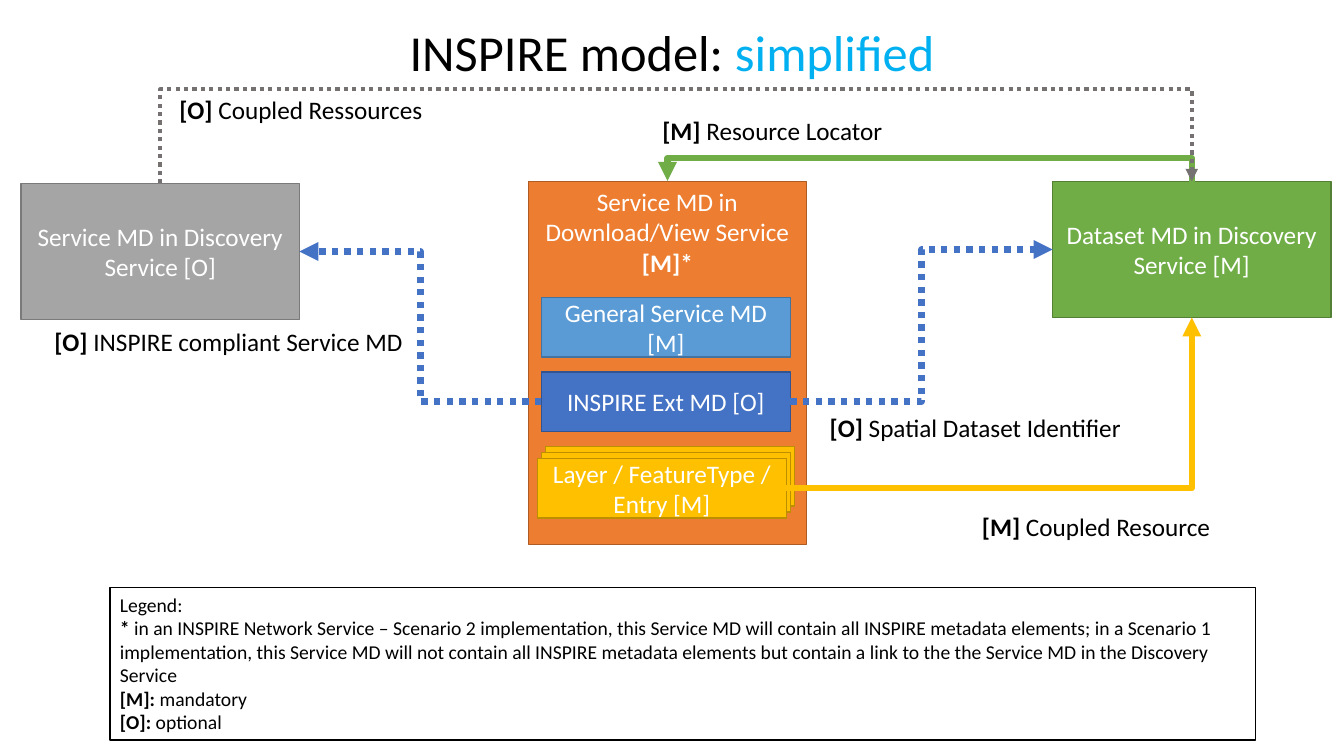
from dataclasses import dataclass

from lxml.etree import SubElement
from pptx import Presentation
from pptx.dml.color import RGBColor
from pptx.enum.dml import MSO_LINE as Dash
from pptx.enum.shapes import MSO_CONNECTOR as Link, MSO_SHAPE as Shape
from pptx.enum.text import MSO_ANCHOR as Anchor, MSO_AUTO_SIZE as Fit, PP_ALIGN as Align
from pptx.oxml.ns import qn
from pptx.util import Pt

PX = 9144  # 100 px to the inch
TOP, LEFT, BOTTOM, RIGHT = range(4)


@dataclass(frozen=True)
class Theme:
    font: str = "Calibri"
    title: int = 36
    body: int = 18
    legend: int = 14
    black: str = "000000"
    white: str = "FFFFFF"
    accent: str = "00B0F0"
    grey: tuple = ("A5A5A5", "7A7A7A")
    orange: tuple = ("ED7D31", "AF5C24")
    green: tuple = ("70AD47", "538035")
    sky: tuple = ("5B9BD5", "43739E")
    blue: tuple = ("4472C4", "325491")
    gold: tuple = ("FFC000", "BD8E00")
    paper: tuple = ("FFFFFF", "000000")
    dark_grey: str = "767171"


THEME = Theme()


def rgb(value):
    return RGBColor.from_string(value)


def px(*lengths):
    return [length * PX for length in lengths]


def write(frame, lines, size, colour, align=Align.LEFT):
    """Fill a frame with paragraphs; text between bars is bold."""
    for number, line in enumerate(lines):
        paragraph = frame.add_paragraph() if number else frame.paragraphs[0]
        paragraph.alignment = align
        paragraph.font.name = THEME.font
        paragraph.font.size = Pt(size)
        paragraph.font.color.rgb = rgb(colour)
        for part, text in enumerate(line.split("|")):
            if text:
                run = paragraph.add_run()
                run.text = text
                if part % 2:
                    run.font.bold = True


def add_box(shapes, area, colours, text="", anchor=Anchor.MIDDLE):
    box = shapes.add_shape(Shape.RECTANGLE, *px(*area))
    box.shadow.inherit = False
    fill, edge = colours
    box.fill.solid()
    box.fill.fore_color.rgb = rgb(fill)
    box.line.color.rgb = rgb(edge)
    box.line.width = Pt(1)
    box.text_frame.word_wrap = True
    box.text_frame.vertical_anchor = anchor
    if text:
        write(box.text_frame, [text], THEME.body, THEME.white, Align.CENTER)
    return box


def add_label(slide, area, text):
    frame = slide.shapes.add_textbox(*px(*area)).text_frame
    frame.word_wrap = False
    frame.auto_size = Fit.SHAPE_TO_FIT_TEXT
    write(frame, [text], THEME.body, THEME.black)


def add_elbow(slide, source, target, colour, width=4.5, dash=None):
    """Join two (box, side) ends with an elbow arrow."""
    arrow = slide.shapes.add_connector(Link.ELBOW, 0, 0, 0, 0)
    arrow.begin_connect(*source)
    arrow.end_connect(*target)
    arrow.line.color.rgb = rgb(colour)
    arrow.line.width = Pt(width)
    if dash:
        arrow.line.dash_style = dash
    properties = arrow.element.spPr
    SubElement(properties.find(qn("a:ln")), qn("a:tailEnd"), type="triangle")
    SubElement(properties, qn("a:effectLst"))
    return arrow


def route_over(arrow, rise):
    """Lead an arrow up from its start, across, and down to its end."""
    start_x, start_y, end_x, end_y = arrow.begin_x, arrow.begin_y, arrow.end_x, arrow.end_y
    drop, span = max(PX, start_y - end_y), abs(end_x - start_x)
    # A quarter turn swaps the box's width and height about its centre
    arrow.width, arrow.height = drop, span
    arrow.left = (start_x + end_x - drop) // 2
    arrow.top = (start_y + end_y - span) // 2
    frame = arrow.element.spPr.find(qn("a:xfrm"))
    frame.set("rot", "16200000")
    frame.set("flipH", "0")
    frame.set("flipV", "1" if end_x < start_x else "0")
    guides = arrow.element.spPr.find(qn("a:prstGeom")).find(qn("a:avLst"))
    SubElement(guides, qn("a:gd"), name="adj1", fmla=f"val {rise * PX * 100000 // drop}")


def add_title(slide):
    title = slide.shapes.title
    title.left, title.top, title.width, title.height = px(383, 15, 567, 71)
    frame = title.text_frame
    frame.word_wrap = False
    frame.vertical_anchor = Anchor.MIDDLE
    write(frame, ["INSPIRE model: "], THEME.title, THEME.black, Align.CENTER)
    simplified = frame.paragraphs[0].add_run()
    simplified.text = "simplified"
    simplified.font.color.rgb = rgb(THEME.accent)


def add_legend(slide):
    legend = add_box(slide.shapes, (109, 583, 1136, 151), THEME.paper, anchor=Anchor.TOP)
    write(legend.text_frame, [
        "Legend:",
        "|* |in an INSPIRE Network Service – Scenario 2 implementation, this Service MD will "
        "contain all INSPIRE metadata elements; in a Scenario 1 implementation, this Service MD "
        "will not contain all INSPIRE metadata elements but contain a link to the the Service MD "
        "in the Discovery Service",
        "|[M]: |mandatory",
        "|[O]:| optional",
    ], THEME.legend, THEME.black)


def main():
    deck = Presentation()
    deck.slide_width, deck.slide_height = px(1333, 750)
    slide = deck.slides.add_slide(deck.slide_layouts[5])
    shapes = slide.shapes
    add_title(slide)

    # Metadata records
    discovery = add_box(shapes, (21, 182, 276, 135), THEME.grey,
                        "Service MD in Discovery Service [O]")
    download = add_box(shapes, (524, 180, 276, 360), THEME.orange,
                       "Service MD in Download/View Service |[M]*|", Anchor.TOP)
    dataset = add_box(shapes, (1044, 180, 276, 135), THEME.green,
                      "Dataset MD in Discovery Service [M]")

    # Parts of the download and view service
    add_box(shapes, (537, 295, 247, 59), THEME.sky, "General Service MD [M]")
    extension = add_box(shapes, (537, 369, 247, 59), THEME.blue, "INSPIRE Ext MD [O]")
    layers = shapes.add_group_shape()
    for depth in (2, 1, 0):
        layer = add_box(layers.shapes, (533 + 4 * depth, 455 - 6 * depth, 247, 59), THEME.gold,
                        "" if depth else "Layer / FeatureType / Entry [M]")

    # Links between the records
    blue, dots = THEME.blue[0], Dash.ROUND_DOT
    add_elbow(slide, (extension, RIGHT), (dataset, LEFT), blue, dash=dots)
    add_elbow(slide, (extension, LEFT), (discovery, RIGHT), blue, dash=dots)
    locator = add_elbow(slide, (dataset, TOP), (download, TOP), THEME.green[0])
    route_over(locator, 24)
    coupled = add_elbow(slide, (layer, RIGHT), (dataset, BOTTOM), THEME.gold[0])
    coupled.element.spPr.find(qn("a:prstGeom")).set("prst", "bentConnector2")
    optional = add_elbow(slide, (discovery, TOP), (dataset, TOP), THEME.dark_grey, 3, dots)
    route_over(optional, 93)

    # Link names
    for area, text in (
        ((647, 109, 241, 40), "|[M]| Resource Locator"),
        ((964, 502, 250, 40), "|[M]| Coupled Resource"),
        ((813, 404, 313, 40), "|[O]| Spatial Dataset Identifier"),
        ((44, 319, 370, 40), "|[O]| INSPIRE compliant Service MD"),
        ((168, 89, 264, 40), "|[O] |Coupled Ressources"),
    ):
        add_label(slide, area, text)

    add_legend(slide)
    deck.save("out.pptx")


if __name__ == "__main__":
    main()
